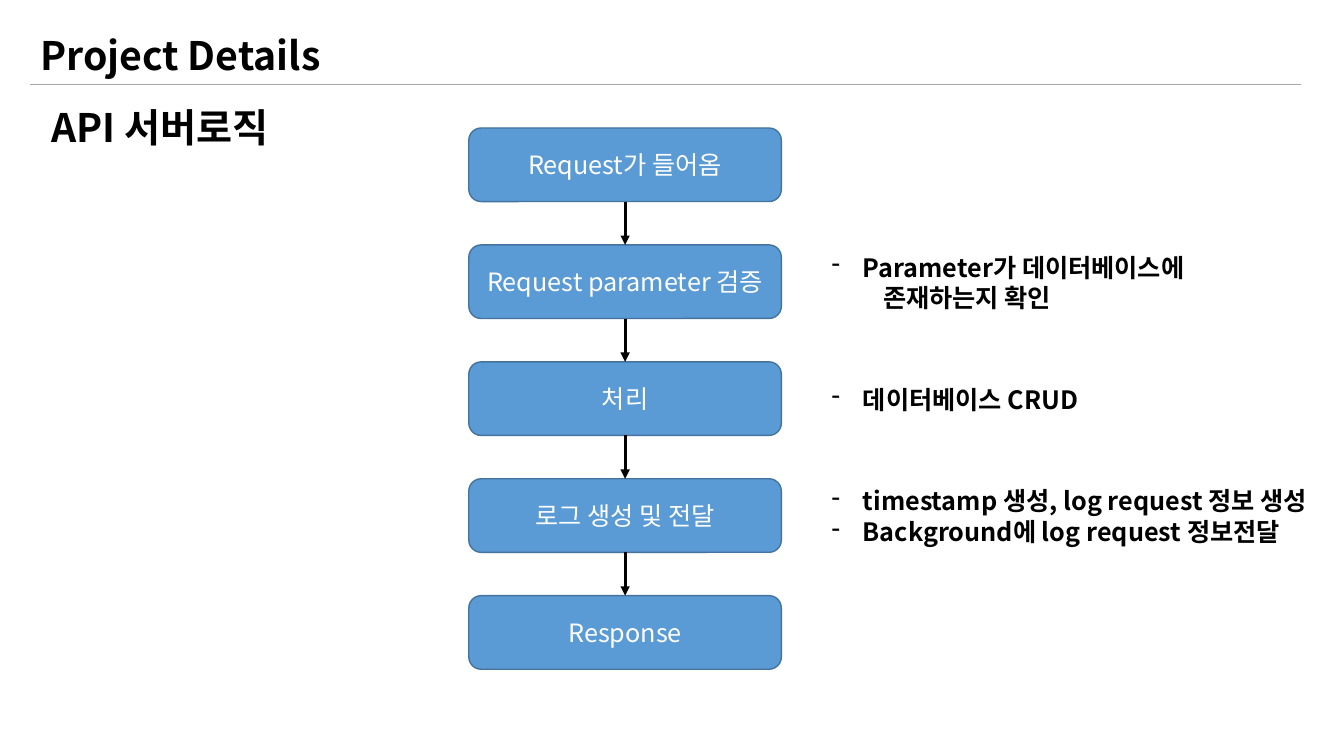
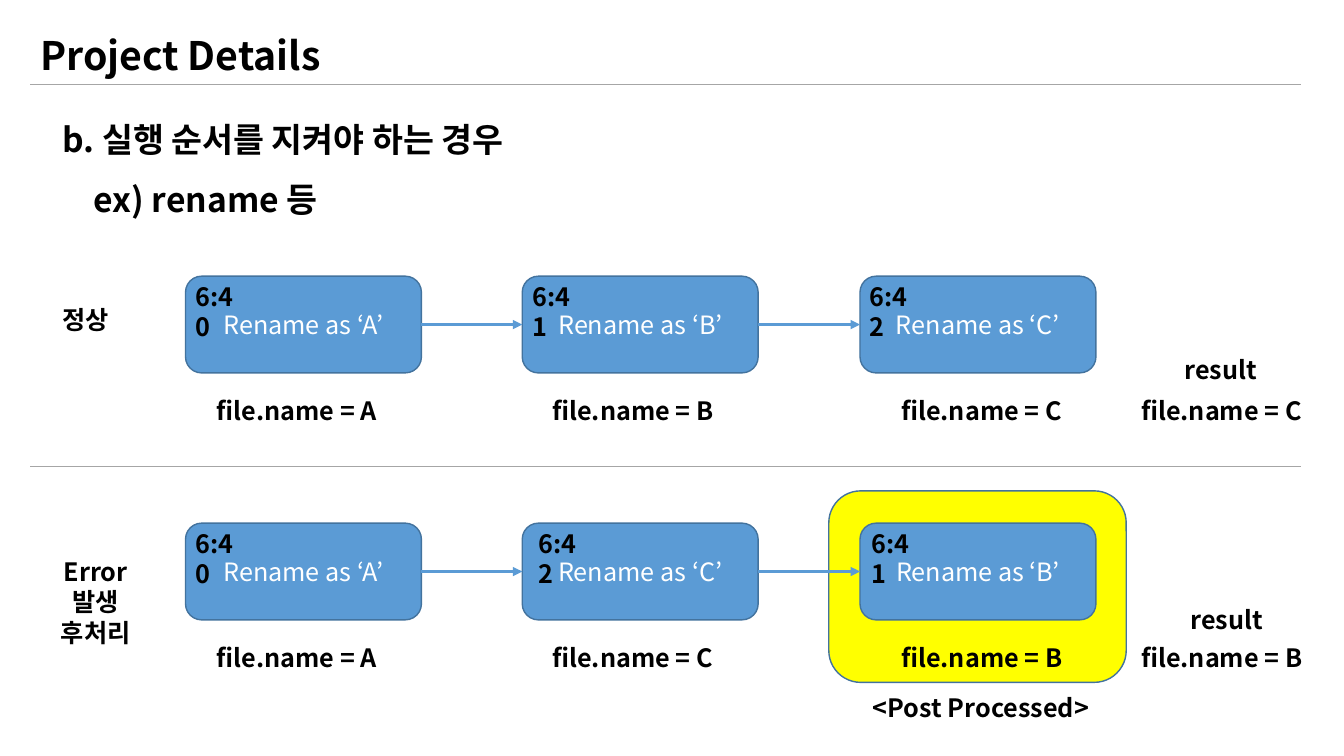
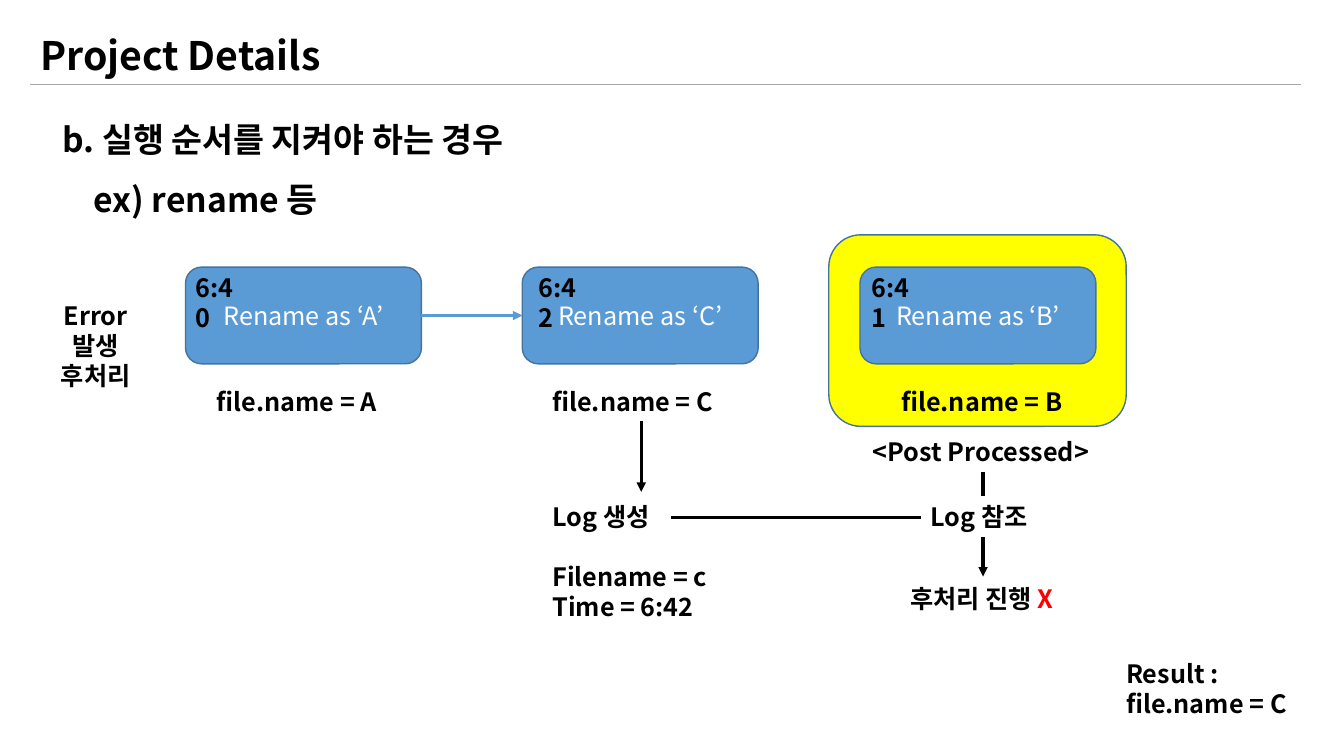
"""Build three project detail slides: server logic, rename order and log lookup."""
from lxml import etree
from pptx import Presentation
from pptx import util as u
from pptx.dml.color import RGBColor
from pptx.enum import shapes, text
from pptx.oxml import ns

FONT = "Noto Sans CJK KR"
COLORS = {
    "text": "000000",
    "white": "FFFFFF",
    "rule": "A6A6A6",
    "card": "5B9BD5",
    "border": "43739E",
    "highlight": "FFFF00",
    "alert": "FF0000",
}
COLORS = {name: RGBColor.from_string(value) for name, value in COLORS.items()}
LEFT, CENTER = text.PP_ALIGN.LEFT, text.PP_ALIGN.CENTER


def write(shape, lines, size=18, color="text", bold=True, align=LEFT):
    frame = shape.text_frame
    frame.word_wrap = True
    for index, line in enumerate(lines):
        para = frame.add_paragraph() if index else frame.paragraphs[0]
        para.text = line
        para.alignment = align
        para.font.name = FONT
        para.font.size = u.Pt(size)
        para.font.bold = bold
        para.font.color.rgb = COLORS[color]
        latin = para._p.find(".//" + ns.qn("a:latin"))
        east_asian = etree.Element(ns.qn("a:ea"), typeface=FONT)
        latin.addnext(east_asian)
    return frame.paragraphs


def draw_line(page, ends, color, width=2.25, arrow=True):
    line = page.shapes.add_connector(shapes.MSO_CONNECTOR.STRAIGHT, *map(u.Inches, ends))
    line.line.color.rgb = COLORS[color]
    line.line.width = u.Pt(width)
    if arrow:
        etree.SubElement(line.line._get_or_add_ln(), ns.qn("a:tailEnd"), type="triangle")
    etree.SubElement(line._element.spPr, ns.qn("a:effectLst"))
    return line


deck = Presentation()
deck.slide_width, deck.slide_height = u.Inches(13.33), u.Inches(7.5)

pages = []
for number in range(3):
    page = deck.slides.add_slide(deck.slide_layouts[5])
    title = page.shapes.title
    title.left, title.top = u.Inches(0.3), u.Inches(0.26)
    title.width, title.height = u.Inches(12.98), u.Inches(0.57)
    title.text_frame.auto_size = text.MSO_AUTO_SIZE.NONE
    title.text_frame.vertical_anchor = text.MSO_ANCHOR.MIDDLE
    write(title, ["Project Details"], 28)
    draw_line(page, (0.3, 0.84, 12.9, 0.84), "rule", 0.5, arrow=False)
    pages.append(page)
logic_page, order_page, log_page = pages
draw_line(order_page, (0.3, 4.63, 12.9, 4.63), "rule", 0.5, arrow=False)

STEPS = ["Request가 들어옴", "Request parameter 검증", "처리", "로그 생성 및 전달", "Response"]
CARD_LEFTS = [1.84, 5.18, 8.53]
NORMAL_TIMES = [("A", "6:40", 1.84), ("B", "6:41", 5.18), ("C", "6:42", 8.53)]
ERROR_TIMES = [("A", "6:40", 1.84), ("C", "6:42", 5.24), ("B", "6:41", 8.55)]
ROWS = [
    (order_page, 2.74, NORMAL_TIMES, 2),
    (order_page, 5.19, ERROR_TIMES, 2),
    (log_page, 2.65, ERROR_TIMES, 1),
]

boxes = [(logic_page, (4.65, 1.27 + 1.16 * index, 3.1, 0.73), "card", step)
         for index, step in enumerate(STEPS)]
labels = []
for page, top, cards, link_count in ROWS:
    if cards is ERROR_TIMES:
        boxes.append((page, (8.22, top - 0.32, 2.95, 1.9), "highlight", None))
        labels.append((page, (8.56, top + 1.63, 2.4, 0.4), ["<Post Processed>"], LEFT))
        labels.append((page, (0.32, top + 0.28, 1.26, 0.71), ["Error발생", "후처리"], CENTER))
    for (name, time, time_left), card_left, name_left in zip(cards, CARD_LEFTS, [2.05, 5.38, 8.84]):
        boxes.append((page, (card_left, top, 2.34, 0.96), "card", f"Rename as ‘{name}’"))
        labels.append((page, (time_left, top, 0.7, 0.4), [time], LEFT))
        labels.append((page, (name_left, top + 1.13, 1.85, 0.4), [f"file.name = {name}"], LEFT))

drawn = []
for page, place, fill, caption in boxes:
    box = page.shapes.add_shape(shapes.MSO_SHAPE.ROUNDED_RECTANGLE, *map(u.Inches, place))
    box.shadow.inherit = False
    box.fill.solid()
    box.fill.fore_color.rgb = COLORS[fill]
    box.line.color.rgb = COLORS["border"]
    box.line.width = u.Pt(1)
    if caption:
        write(box, [caption], color="white", bold=False, align=CENTER)
        drawn.append(box)

steps, cards = drawn[:len(STEPS)], drawn[len(STEPS):]
links = [(logic_page, upper, 2, lower, 0, "text") for upper, lower in zip(steps, steps[1:])]
for row, (page, top, times, link_count) in enumerate(ROWS):
    for index in range(3 * row, 3 * row + link_count):
        links.append((page, cards[index], 3, cards[index + 1], 1, "card"))
for page, start, start_side, end, end_side, color in links:
    link = draw_line(page, (0, 0, 1, 1), color)
    link.begin_connect(start, start_side)
    link.end_connect(end, end_side)

for ends, arrow in [
    ((6.36, 4.18, 6.36, 4.88), True),
    ((6.66, 5.13, 9.13, 5.13), False),
    ((9.75, 4.68, 9.75, 4.92), False),
    ((9.75, 5.33, 9.75, 5.72), True),
]:
    draw_line(log_page, ends, "text", arrow=arrow)

labels += [
    (order_page, (0.52, 2.97, 0.71, 0.4), ["정상"], LEFT),
    (order_page, (11.65, 3.47, 0.97, 0.4), ["result"], LEFT),
    (order_page, (11.22, 3.87, 1.85, 0.4), ["file.name = C"], LEFT),
    (order_page, (11.71, 5.95, 0.97, 0.4), ["result"], LEFT),
    (order_page, (11.22, 6.32, 1.85, 0.4), ["file.name = B"], LEFT),
    (log_page, (9.13, 4.92, 1.3, 0.4), ["Log 참조"], LEFT),
    (log_page, (11.07, 6.48, 1.85, 0.71), ["Result :", "file.name = C"], LEFT),
]
for page, place, lines, align in labels:
    write(page.shapes.add_textbox(*map(u.Inches, place)), lines, align=align)

log_box = log_page.shapes.add_textbox(*map(u.Inches, (5.38, 4.92, 1.76, 1.31)))
log_paras = write(log_box, ["Log 생성", "Filename = c", "Time = 6:42"])
log_paras[1].space_before = u.Pt(21.6)

outcome_box = log_page.shapes.add_textbox(*map(u.Inches, (8.93, 5.74, 1.81, 0.4)))
span = write(outcome_box, ["후처리 진행 "])[0].add_run()
span.text = "X"
span.font.color.rgb = COLORS["alert"]

for page in (order_page, log_page):
    heading = page.shapes.add_textbox(*map(u.Inches, (0.52, 0.93, 6.08, 1.31)))
    paras = write(heading, ["b. 실행 순서를 지켜야 하는 경우", "ex) rename 등"], 24)
    for para in paras:
        para.line_spacing = 1.5
    paras[1]._p.pPr.set("marL", str(u.Inches(0.31)))

heading = logic_page.shapes.add_textbox(*map(u.Inches, (0.41, 0.98, 3, 0.58)))
write(heading, ["API 서버로직"], 28)

NOTES = [
    ((8.15, 2.45, 3.82, 0.71), ["Parameter가 데이터베이스에", "존재하는지 확인"], 1),
    ((8.15, 3.76, 3.82, 0.4), ["데이터베이스 CRUD"], 1),
    ((8.15, 4.77, 5.13, 0.71),
     ["timestamp 생성, log request 정보 생성", "Background에 log request 정보전달"], 2),
]
for place, lines, bullet_count in NOTES:
    note = logic_page.shapes.add_textbox(*map(u.Inches, place))
    for index, para in enumerate(write(note, lines)):
        properties = para._p.pPr
        if index < bullet_count:
            properties.set("marL", str(u.Inches(0.31)))
            properties.set("indent", str(u.Inches(-0.31)))
            bullet = etree.Element(ns.qn("a:buChar"), char="-")
            properties.find(ns.qn("a:defRPr")).addprevious(bullet)
        else:
            properties.set("marL", str(u.Inches(0.51)))

deck.save("out.pptx")
